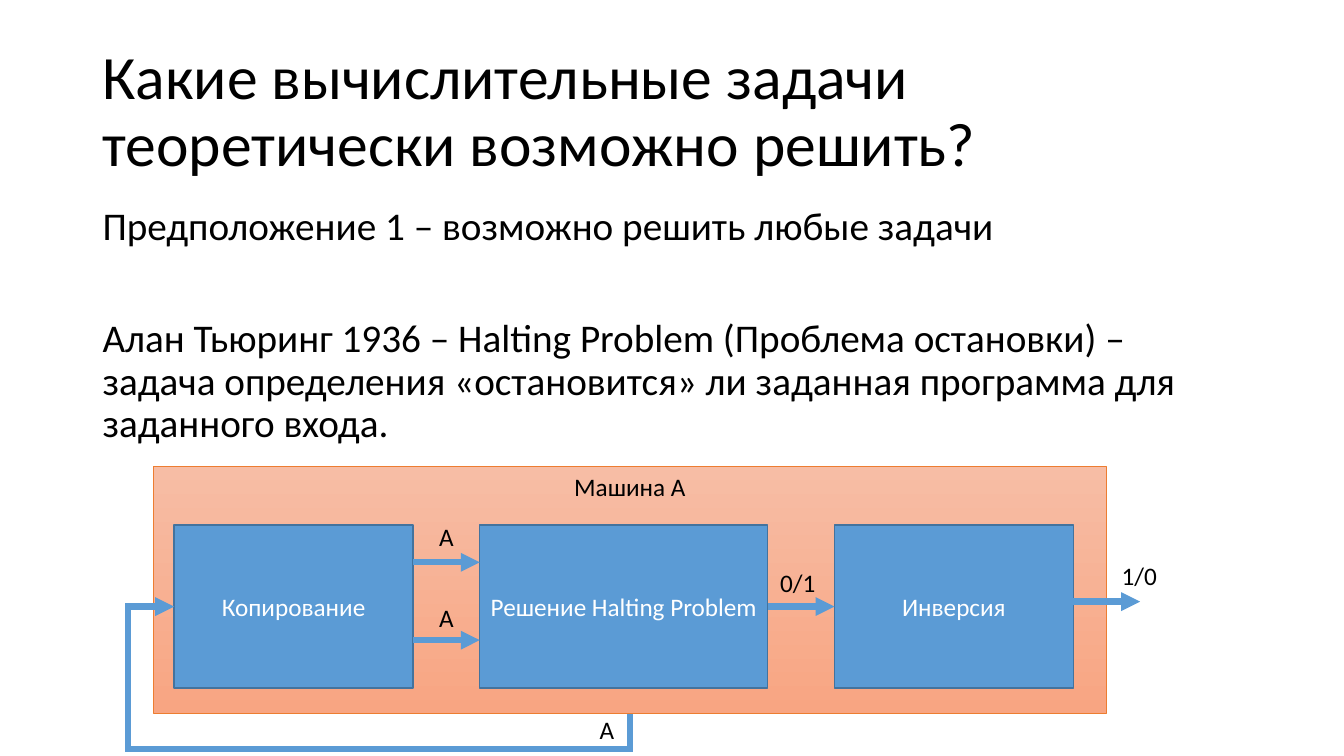
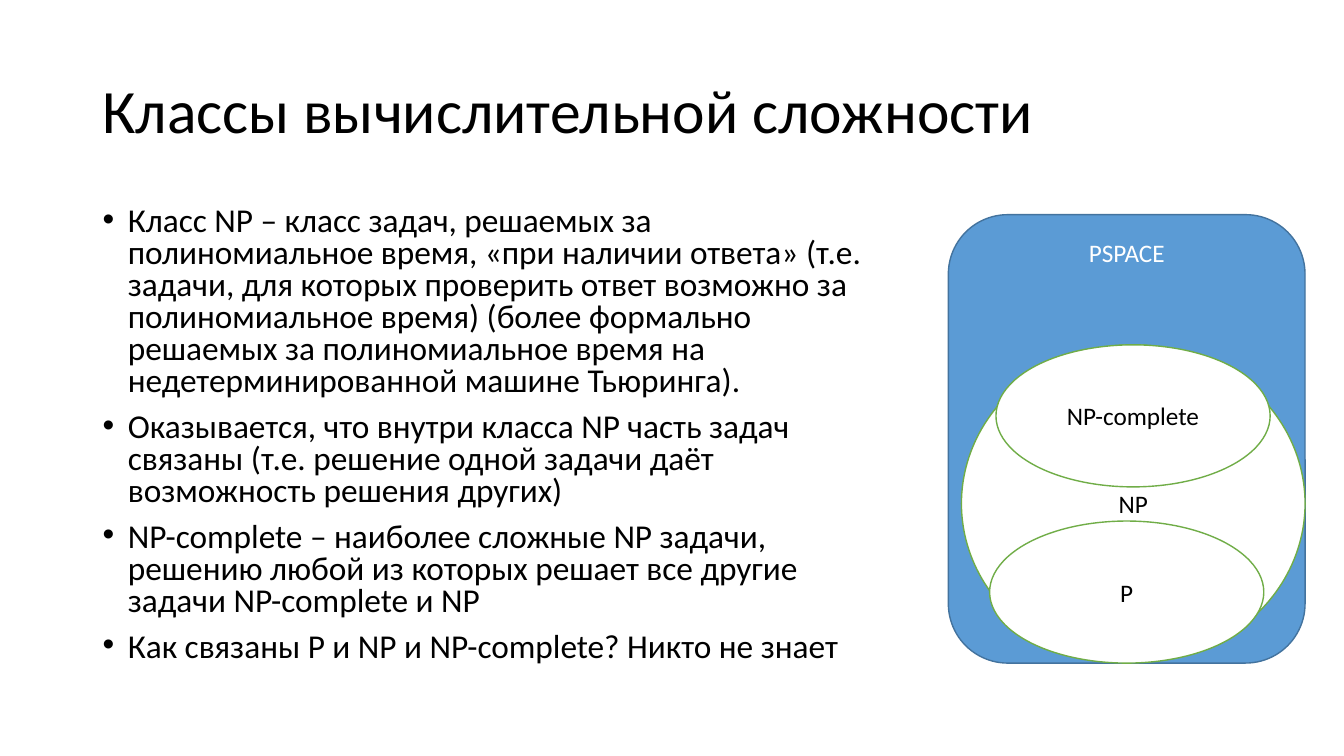
from lxml.etree import SubElement
from pptx import Presentation
from pptx.dml.color import RGBColor
from pptx.enum.shapes import MSO_CONNECTOR, MSO_SHAPE
from pptx.enum.text import MSO_ANCHOR, MSO_AUTO_SIZE, PP_ALIGN
from pptx.oxml.ns import qn
from pptx.util import Cm, Pt

# Shared style
FONT = "Calibri"
BLACK, WHITE = "000000", "FFFFFF"
BLUE, DARK_BLUE = "5B9BD5", "43739E"
GREEN, ORANGE = "70AD47", "ED7D31"
MACHINE_GRADIENT = ("F7BDA5", "F8A582")
TEXT_LEFT = 2.33
BULLET_INDENT = 0.64


def color(value):
    return RGBColor.from_string(value)


def place(shape, left, top, width, height):
    shape.left, shape.top = Cm(left), Cm(top)
    shape.width, shape.height = Cm(width), Cm(height)


def write_paragraph(paragraph, text, size=18, font_color=BLACK,
                    align=PP_ALIGN.LEFT, line_spacing=None, space_before=0):
    run = paragraph.add_run()
    run.text = text
    run.font.name = FONT
    run.font.size = Pt(size)
    run.font.color.rgb = color(font_color)
    paragraph.alignment = align
    paragraph.space_before = Pt(space_before)
    if line_spacing:
        paragraph.line_spacing = line_spacing


def set_bullet(paragraph, bulleted):
    properties = paragraph._p.get_or_add_pPr()
    indent = Cm(BULLET_INDENT) if bulleted else 0
    properties.set("marL", str(indent))
    properties.set("indent", str(-indent))
    if bulleted:
        SubElement(properties, qn("a:buFont"), typeface="Arial")
        SubElement(properties, qn("a:buChar"), char="•")
    else:
        SubElement(properties, qn("a:buNone"))


# Titles and lists
def add_titled_slide(presentation, title):
    slide = presentation.slides.add_slide(presentation.slide_layouts[1])
    shape = slide.shapes.title
    place(shape, TEXT_LEFT, 1.01, 29.21, 3.68)
    frame = shape.text_frame
    frame.auto_size = MSO_AUTO_SIZE.NONE
    frame.vertical_anchor = MSO_ANCHOR.MIDDLE
    write_paragraph(frame.paragraphs[0], title, size=44, line_spacing=0.9)
    return slide


def fill_body(slide, texts, width, height, bulleted=False, gap=10, **text_format):
    body = slide.placeholders[1]
    place(body, TEXT_LEFT, 5.08, width, height)
    frame = body.text_frame
    frame.auto_size = MSO_AUTO_SIZE.NONE
    for index, text in enumerate(texts):
        paragraph = frame.add_paragraph() if index else frame.paragraphs[0]
        write_paragraph(paragraph, text, space_before=gap if index else 10, **text_format)
        set_bullet(paragraph, bulleted)


# Diagram elements
def add_block(slide, text, left, top, width, height, kind=MSO_SHAPE.RECTANGLE,
              fill=BLUE, line=DARK_BLUE, line_width=1, font_color=WHITE,
              anchor=MSO_ANCHOR.MIDDLE):
    shape = slide.shapes.add_shape(kind, Cm(left), Cm(top), Cm(width), Cm(height))
    shape.shadow.inherit = False
    if isinstance(fill, tuple):
        shape.fill.gradient()
        shape.fill.gradient_angle = 270
        for stop, value in zip(shape.fill.gradient_stops, fill):
            stop.color.rgb = color(value)
    else:
        shape.fill.solid()
        shape.fill.fore_color.rgb = color(fill)
    shape.line.color.rgb = color(line)
    shape.line.width = Pt(line_width)
    frame = shape.text_frame
    frame.word_wrap = True
    frame.vertical_anchor = anchor
    frame.margin_left = frame.margin_right = Cm(0.2)
    write_paragraph(frame.paragraphs[0], text, font_color=font_color,
                    align=PP_ALIGN.CENTER)


def add_label(slide, text, left, top, width=0.89):
    box = slide.shapes.add_textbox(Cm(left), Cm(top), Cm(width), Cm(1.03))
    box.text_frame.word_wrap = True
    write_paragraph(box.text_frame.paragraphs[0], text)


def format_arrow(shape):
    shape.line.color.rgb = color(BLUE)
    shape.line.width = Pt(4.5)
    line = shape._element.spPr.find(qn("a:ln"))
    SubElement(line, qn("a:miter"), lim="800000")
    SubElement(line, qn("a:tailEnd"), type="triangle")


def add_arrow(slide, left, y, length):
    arrow = slide.shapes.add_connector(
        MSO_CONNECTOR.STRAIGHT, Cm(left), Cm(y), Cm(left + length), Cm(y))
    format_arrow(arrow)
    SubElement(arrow._element.spPr, qn("a:effectLst"))


def add_bent_arrow(slide, points):
    start, *corners = [(Cm(x), Cm(y)) for x, y in points]
    builder = slide.shapes.build_freeform(*start)
    builder.add_line_segments(corners, close=False)
    arrow = builder.convert_to_shape()
    arrow.fill.background()
    arrow.shadow.inherit = False
    format_arrow(arrow)


# Slides
def build_halting_slide(presentation):
    slide = add_titled_slide(
        presentation, "Какие вычислительные задачи теоретически возможно решить?")
    fill_body(slide, [
        "Предположение 1 – возможно решить любые задачи",
        "Алан Тьюринг 1936 – Halting Problem (Проблема остановки) – задача "
        "определения «остановится» ли заданная программа для заданного входа.",
    ], 29.21, 6.53, gap=50, size=28, line_spacing=0.9)

    # Machine and its steps
    add_block(slide, "Машина A", 3.86, 11.76, 24.03, 6.22, fill=MACHINE_GRADIENT,
              line=ORANGE, line_width=0.5, font_color=BLACK, anchor=MSO_ANCHOR.TOP)
    first_left, step_top, step_height, gap = 4.39, 13.23, 4.11, 1.68
    middle = step_top + step_height / 2
    left, step_ends = first_left, []
    for text, width in (("Копирование", 6.02), ("Решение Halting Problem", 7.26),
                        ("Инверсия", 6.02)):
        add_block(slide, text, left, step_top, width, step_height)
        step_ends.append(left + width)
        left += width + gap

    # Flow between the steps
    copy_end, solve_end, invert_end = step_ends
    for arrow_left, y in ((copy_end, 14.17), (copy_end, 16.13),
                          (solve_end, middle), (invert_end, 15.16)):
        add_arrow(slide, arrow_left, y, gap)
    add_bent_arrow(slide, [(15.88, 17.98), (15.88, 18.87), (3.23, 18.87),
                           (3.23, middle), (first_left, middle)])
    for left, top in ((10.82, 13), (10.82, 15.06), (14.86, 17.88)):
        add_label(slide, "A", left, top)
    add_label(slide, "0/1", 19.41, 14.17, width=1.65)
    add_label(slide, "1/0", 28.02, 14, width=1.65)


def build_classes_slide(presentation):
    slide = add_titled_slide(presentation, "Классы вычислительной сложности")
    fill_body(slide, [
        "Класс NP – класс задач, решаемых за полиномиальное время, «при наличии "
        "ответа» (т.е. задачи, для которых проверить ответ возможно за "
        "полиномиальное время) (более формально решаемых за полиномиальное время "
        "на недетерминированной машине Тьюринга).",
        "Оказывается, что внутри класса NP часть задач связаны (т.е. решение одной "
        "задачи даёт возможность решения других)",
        "NP-complete – наиболее сложные NP задачи, решению любой из которых решает "
        "все другие задачи NP-complete и NP",
        "Как связаны P и NP и NP-complete? Никто не знает",
    ], 20.17, 12.09, bulleted=True, size=23.8, line_spacing=0.8)

    # Nested complexity classes
    add_block(slide, "PSPACE", 23.9, 5.41, 8.99, 11.3,
              kind=MSO_SHAPE.ROUNDED_RECTANGLE, anchor=MSO_ANCHOR.TOP)
    for text, left, top, width, height in (
            ("NP", 24.23, 8.69, 8.66, 8),
            ("P", 24.94, 13.13, 6.91, 3.58),
            ("NP-complete", 25.1, 8.69, 6.91, 3.58)):
        add_block(slide, text, left, top, width, height, kind=MSO_SHAPE.OVAL,
                  fill=WHITE, line=GREEN, font_color=BLACK)


def main():
    presentation = Presentation()
    presentation.slide_width, presentation.slide_height = Cm(33.87), Cm(19.05)
    build_halting_slide(presentation)
    build_classes_slide(presentation)
    presentation.save("out.pptx")


if __name__ == "__main__":
    main()
